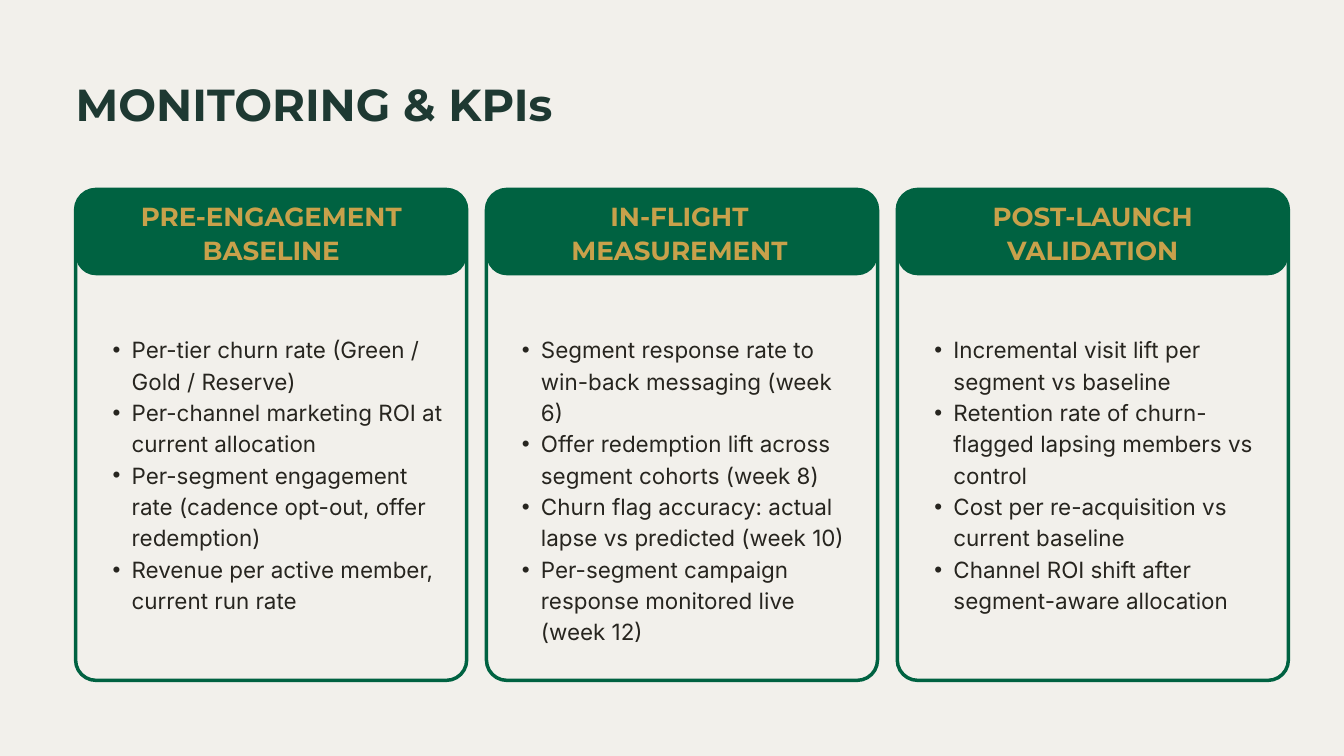
from lxml import etree
from pptx import Presentation
from pptx.dml.color import RGBColor
from pptx.enum.shapes import MSO_SHAPE
from pptx.enum.text import MSO_AUTO_SIZE, PP_ALIGN
from pptx.oxml.ns import qn
from pptx.util import Pt

ROUNDED = MSO_SHAPE.ROUNDED_RECTANGLE
LEFT, CENTER = PP_ALIGN.LEFT, PP_ALIGN.CENTER
GROW = MSO_AUTO_SIZE.SHAPE_TO_FIT_TEXT

PAPER, GREEN, DARK_GREEN = "F2F0EB", "006241", "1E3932"
GOLD, INK = "C8A14B", "27251F"

CARD_LEFT, CARD_TOP, CARD_WIDTH, CARD_PITCH = 81, 203, 419, 440.2
CARD_HEIGHT, HEADER_HEIGHT, CORNER = 526, 92, 21.8
HEADING_TOP, HEADING_HEIGHT = 212.4, 70.6
KPI_TOP, KPI_WIDTH, KPI_HEIGHT = 355.7, 380, 296

STAGES = [
    {
        "heading": "PRE-ENGAGEMENT BASELINE",
        "heading_left": 95.8, "heading_width": 389.5, "kpi_left": 100.1,
        "kpis": [
            "Per-tier churn rate (Green / Gold / Reserve)",
            "Per-channel marketing ROI at current allocation",
            "Per-segment engagement rate (cadence opt-out, offer redemption)",
            "Revenue per active member, current run rate",
        ],
    },
    {
        "heading": "IN-FLIGHT MEASUREMENT",
        "heading_left": 535.7, "heading_width": 384.5, "kpi_left": 538.6,
        "kpis": [
            "Segment response rate to win-back messaging (week 6)",
            "Offer redemption lift across segment cohorts (week 8)",
            "Churn flag accuracy: actual lapse vs predicted (week 10)",
            "Per-segment campaign response monitored live (week 12)",
        ],
    },
    {
        "heading": "POST-LAUNCH VALIDATION",
        "heading_left": 995, "heading_width": 351.4, "kpi_left": 980.6,
        "kpis": [
            "Incremental visit lift per segment vs baseline",
            "Retention rate of churn-flagged lapsing members vs control",
            "Cost per re-acquisition vs current baseline",
            "Channel ROI shift after segment-aware allocation",
        ],
    },
]


def color(hex_code):
    return RGBColor.from_string(hex_code)


class SlideBuilder:
    heading_font = "Montserrat"
    body_font = "Inter"

    def __init__(self, slide):
        self.slide = slide
        slide.background.fill.solid()
        slide.background.fill.fore_color.rgb = color(PAPER)

    def panel(self, left, top, width, height, fill=None, line=None):
        panel = self.slide.shapes.add_shape(
            ROUNDED, Pt(left), Pt(top), Pt(width), Pt(height))
        panel.adjustments[0] = CORNER / min(width, height)
        panel.shadow.inherit = False
        if fill:
            panel.fill.solid()
            panel.fill.fore_color.rgb = color(fill)
        else:
            panel.fill.background()
        if line:
            panel.line.color.rgb = color(line)
            panel.line.width = Pt(3.75)
        else:
            panel.line.fill.background()

    def text(self, left, top, width, height, lines, size, spacing, ink,
             font=heading_font, bold=True, align=LEFT, bulleted=False):
        box = self.slide.shapes.add_textbox(
            Pt(left), Pt(top), Pt(width), Pt(height))
        frame = box.text_frame
        frame.margin_left = frame.margin_right = 0
        frame.margin_top = frame.margin_bottom = 0
        frame.word_wrap = True
        frame.auto_size = GROW
        frame.text = "\n".join(lines)
        for paragraph in frame.paragraphs:
            paragraph.alignment = align
            paragraph.line_spacing = Pt(spacing)
            if bulleted:
                self.bullet(paragraph)
            for run in paragraph.runs:
                run.font.name = font
                run.font.size = Pt(size)
                run.font.bold = bold
                run.font.color.rgb = color(ink)

    def bullet(self, paragraph):
        paragraph.level = 1
        properties = paragraph._p.get_or_add_pPr()
        properties.set("marL", str(Pt(41)))
        properties.set("indent", str(Pt(-20.5)))
        bullet_font = etree.SubElement(properties, qn("a:buFont"))
        bullet_font.set("typeface", "Arial")
        etree.SubElement(properties, qn("a:buChar")).set("char", "•")

    def stage(self, left, stage):
        self.panel(left, CARD_TOP, CARD_WIDTH, CARD_HEIGHT, line=GREEN)
        self.panel(left, CARD_TOP, CARD_WIDTH, HEADER_HEIGHT, fill=GREEN)
        self.text(stage["heading_left"], HEADING_TOP, stage["heading_width"],
                  HEADING_HEIGHT, [stage["heading"]], 28, 36.4, GOLD,
                  align=CENTER)
        self.text(stage["kpi_left"], KPI_TOP, KPI_WIDTH, KPI_HEIGHT,
                  stage["kpis"], 24, 33.6, INK, font=self.body_font,
                  bold=False, bulleted=True)


def main():
    deck = Presentation()
    deck.slide_width, deck.slide_height = Pt(1440), Pt(810)
    builder = SlideBuilder(deck.slides.add_slide(deck.slide_layouts[6]))
    builder.text(81, 82, 511, 56, ["MONITORING & KPIs"], 48, 57.6, DARK_GREEN)
    for index, stage in enumerate(STAGES):
        builder.stage(CARD_LEFT + index * CARD_PITCH, stage)
    deck.save("out.pptx")


if __name__ == "__main__":
    main()
